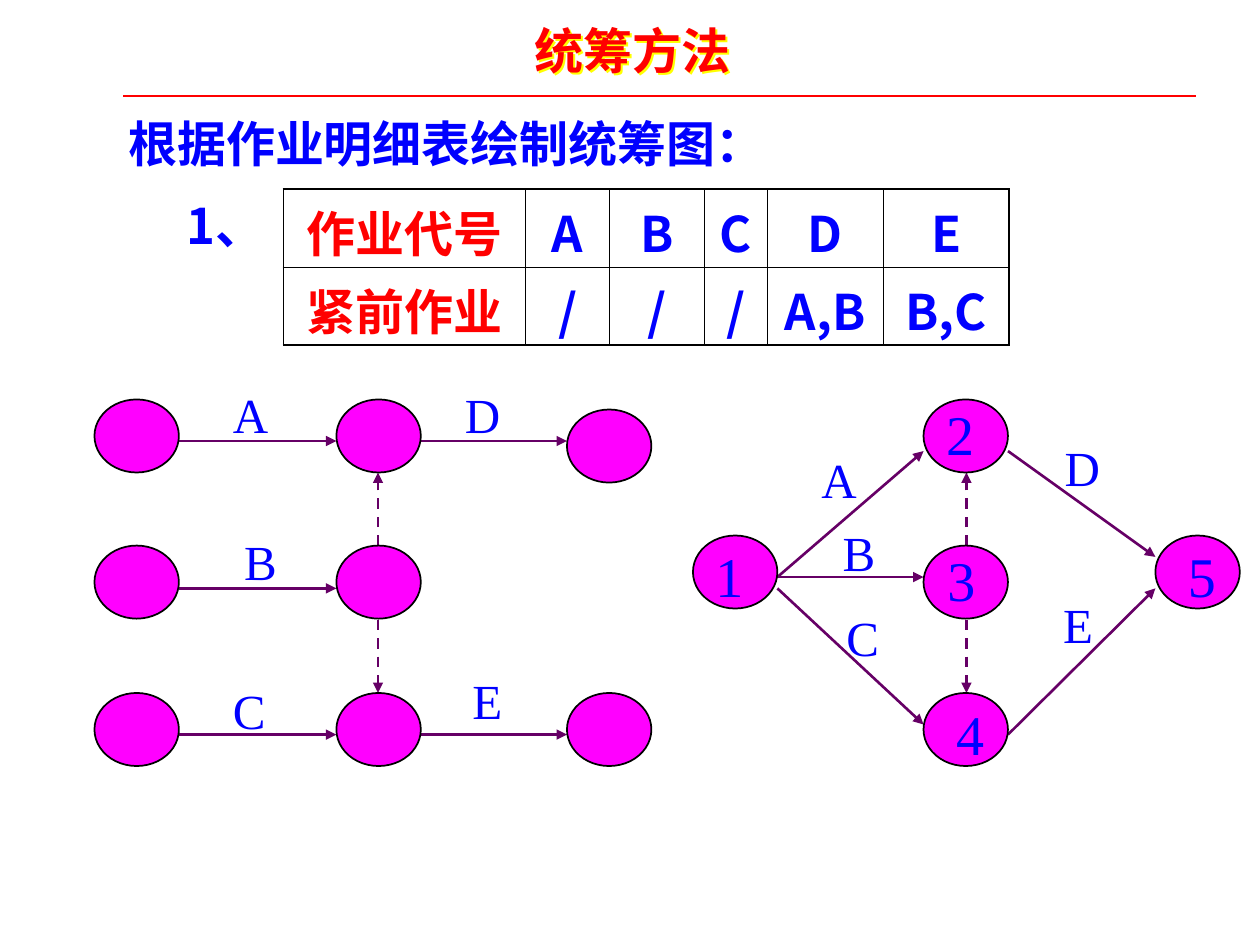
from lxml.etree import SubElement
from pptx import Presentation
from pptx.dml.color import RGBColor
from pptx.enum.dml import MSO_LINE_DASH_STYLE as Dash
from pptx.enum.shapes import MSO_CONNECTOR as Connector, MSO_SHAPE as Shape
from pptx.enum.text import MSO_ANCHOR as Anchor, MSO_AUTO_SIZE as AutoSize, PP_ALIGN as Align
from pptx.oxml.ns import qn
from pptx.util import Inches, Pt

RED, BLUE, BLACK, YELLOW = "FF0000", "0000FF", "000000", "FFFF00"
MAGENTA, PURPLE = "FF00FF", "660066"
SANS, SERIF = "Noto Sans CJK SC", "Times New Roman"
LETTER_WIDTHS = {"A": 0.48, "B": 0.46, "C": 0.46, "D": 0.48, "E": 0.44}


def rgb(value):
    return RGBColor.from_string(value)


class PageBuilder:
    """Hold the style and the current slide, and add each kind of element."""

    node_size = (0.67, 0.58)

    def __init__(self, page):
        self.page = page

    def format(self, paragraph, size, color, font, bold=False, align=Align.LEFT):
        paragraph.alignment = align
        for span in paragraph.runs:
            span.font.size = Pt(size)
            span.font.bold = bold
            span.font.name = font
            span.font.color.rgb = rgb(color)
            SubElement(span.font._element, qn("a:ea"), typeface=SANS)

    def fill_box(self, box, text, size, color, font, bold, wrap):
        frame = box.text_frame
        frame.text = text
        frame.word_wrap = wrap
        frame.auto_size = AutoSize.SHAPE_TO_FIT_TEXT
        frame.vertical_anchor = Anchor.TOP
        self.format(frame.paragraphs[0], size, color, font, bold)

    def title(self, text, left, top, width, height):
        box = self.page.shapes.title
        box.left, box.top, box.width, box.height = map(Inches, (left, top, width, height))
        self.fill_box(box, text, 28, RED, SANS, True, False)
        effects = SubElement(box._element.spPr, qn("a:effectLst"))
        shadow = SubElement(effects, qn("a:outerShdw"), dist="25400", dir="2700000")
        SubElement(shadow, qn("a:srgbClr"), val=YELLOW)

    def text(self, text, left, top, width, height=0.57, size=28, font=SERIF, bold=False, wrap=False):
        box = self.page.shapes.add_textbox(*map(Inches, (left, top, width, height)))
        self.fill_box(box, text, size, BLUE, font, bold, wrap)

    def line(self, start, end, color=PURPLE, width=1.5, dashed=False, arrow=True):
        line = self.page.shapes.add_connector(Connector.STRAIGHT, *map(Inches, (*start, *end)))
        line.line.color.rgb = rgb(color)
        line.line.width = Pt(width)
        if dashed:
            line.line.dash_style = Dash.DASH
        if arrow:
            SubElement(line.line._get_or_add_ln(), qn("a:tailEnd"), type="triangle")
        SubElement(line._element.spPr, qn("a:effectLst"))

    def node(self, left, top):
        node = self.page.shapes.add_shape(Shape.OVAL, *map(Inches, (left, top, *self.node_size)))
        node.shadow.inherit = False
        node.fill.solid()
        node.fill.fore_color.rgb = rgb(MAGENTA)
        node.line.color.rgb = rgb(BLACK)
        node.line.width = Pt(1)

    def borders(self, cell, outer_sides):
        for side in "LRTB":
            width = Pt(1.08 if side in outer_sides else 0.45)
            border = SubElement(cell._tc.get_or_add_tcPr(), qn(f"a:ln{side}"), w=str(width))
            fill = SubElement(border, qn("a:solidFill"))
            SubElement(fill, qn("a:srgbClr"), val=BLACK)

    def table(self, rows, left, top, widths, row_height):
        last_row, last_column = len(rows) - 1, len(widths) - 1
        size = (sum(widths), row_height * len(rows))
        table = self.page.shapes.add_table(
            len(rows), len(widths), *map(Inches, (left, top, *size))).table
        table.first_row = table.horz_banding = False
        for column, width in zip(table.columns, widths):
            column.width = Inches(width)
        for r, row in enumerate(rows):
            for c, text in enumerate(row):
                cell = table.cell(r, c)
                edges = {"L": c == 0, "R": c == last_column, "T": r == 0, "B": r == last_row}
                self.borders(cell, [side for side, outer in edges.items() if outer])
                cell.fill.background()
                cell.vertical_anchor = Anchor.MIDDLE
                cell.text = text
                color = BLUE if c else RED
                self.format(cell.text_frame.paragraphs[0], 28, color, SANS, True, Align.CENTER)

    def network(self, arrows, dashes, nodes, letters):
        for start, end in arrows:
            self.line(start, end)
        for start, end in dashes:
            self.line(start, end, dashed=True)
        for place in nodes:
            self.node(*place)
        for letter, left, top in letters:
            self.text(letter, left, top, LETTER_WIDTHS[letter])


def vertical_dashes(x):
    return [((x, 4.33), (x, 3.75)), ((x, 4.92), (x, 5.5))]


def main():
    deck = Presentation()
    deck.slide_width, deck.slide_height = Inches(10), Inches(7.5)
    builder = PageBuilder(deck.slides.add_slide(deck.slide_layouts[5]))

    builder.title("统筹方法", 4.14, 0.11, 1.95, 0.57)
    builder.line((0.98, 0.76), (9.49, 0.76), RED, 1, arrow=False)
    builder.text("根据作业明细表绘制统筹图：", 0.92, 0.85, 6.77, bold=True, wrap=True)
    builder.text("1、", 1.38, 1.5, 1.1, font=SANS, bold=True, wrap=True)
    builder.table(
        [["作业代号", "A", "B", "C", "D", "E"],
         ["紧前作业", "/", "/", "/", "A,B", "B,C"]],
        2.25, 1.5, [1.92, 0.67, 0.75, 0.5, 0.92, 1], 0.62)

    row_tops = (3.17, 4.33, 5.5)
    builder.network(
        arrows=[((1.42, y), (2.67, y)) for y in (3.5, 4.67, 5.83)]
        + [((3.33, y), (4.5, y)) for y in (3.5, 5.83)],
        dashes=vertical_dashes(3),
        nodes=[(x, y) for x in (0.75, 2.67) for y in row_tops] + [(4.5, 3.25), (4.5, 5.5)],
        letters=[("A", 1.75, 3), ("B", 1.84, 4.17), ("C", 1.75, 5.35),
                 ("D", 3.59, 3), ("E", 3.65, 5.27)])

    fork, upper, lower = (6.17, 4.58), (8, 3.58), (8, 5.83)
    builder.network(
        arrows=[(fork, (7.33, 3.58)), (fork, (7.33, 4.58)), ((6.17, 4.67), (7.33, 5.75)),
                (upper, (9.17, 4.42)), (lower, (9.17, 4.67))],
        dashes=vertical_dashes(7.67),
        nodes=[(5.5, 4.25), *((7.33, y) for y in row_tops), (9.17, 4.25)],
        letters=[("A", 6.42, 3.52), ("B", 6.59, 4.1), ("C", 6.62, 4.77),
                 ("D", 8.35, 3.42), ("E", 8.34, 4.67)])
    numbers = [(5.58, 4.25), (7.41, 3.12), (7.42, 4.28), (7.49, 5.5), (9.33, 4.25)]
    for number, (left, top) in enumerate(numbers, 1):
        builder.text(str(number), left, top, 0.42, 0.64, size=32)

    deck.save("out.pptx")


if __name__ == "__main__":
    main()
